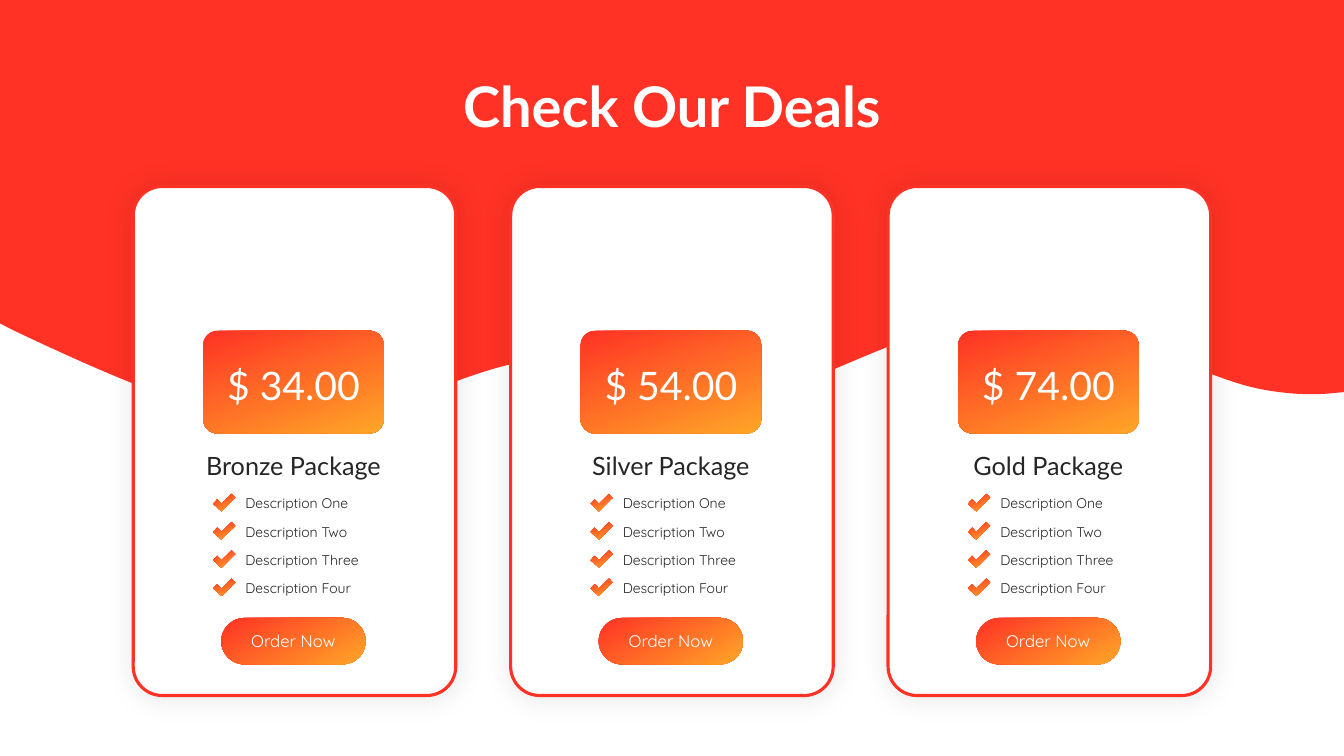
import lxml.etree
import pptx
import pptx.dml.color
import pptx.enum.shapes
import pptx.enum.text
import pptx.oxml.ns
import pptx.util

# Colours, fonts and type sizes
THEME = {
    "red": "FF3225", "gold": "FFA627", "white": "FFFFFF",
    "dark": "262626", "black": "000000",
    "head": "Lato", "body": "Quicksand",
    "title": 40, "price": 28, "name": 18, "button": 12, "item": 10,
}
DEALS = [("$ 34.00", "Bronze Package"), ("$ 54.00", "Silver Package"),
         ("$ 74.00", "Gold Package")]
ITEMS = ["Description One", "Description Two",
         "Description Three", "Description Four"]
TICK = [(5.8, 12.4), (0, 7), (2.8, 4), (5.8, 7.2), (13, 0), (15.6, 2.7)]
# Each curve: two control points and an end point
WAVE = [
    [(939.6, 282.2), (922.3, 282.2), (900, 277.9)],
    [(855.4, 269.3), (781.9, 223.9), (717.1, 226.1)],
    [(651.6, 228.2), (563.8, 287.3), (509, 292.3)],
    [(453.6, 297.4), (440.6, 255.6), (388.1, 257)],
    [(335.5, 258.5), (263.5, 308.9), (194.4, 302.4)],
    [(141.8, 297.4), (63.4, 261.4), (11.5, 236.9)],
]
PITCH, ROW = 269.6, 20.16

Pt = pptx.util.Pt
ALIGN = pptx.enum.text.PP_ALIGN
ANCHOR = pptx.enum.text.MSO_ANCHOR
FIT = pptx.enum.text.MSO_AUTO_SIZE


def bend(start, curve, steps=24):
    """Points along a cubic curve, without its start."""
    ends = [start, *curve]
    for step in range(1, steps + 1):
        t = step / steps
        parts = ((1 - t) ** 3, 3 * t * (1 - t) ** 2,
                 3 * t * t * (1 - t), t ** 3)
        yield tuple(sum(part * end[axis] for part, end in zip(parts, ends))
                    for axis in (0, 1))


class Painter:
    def __init__(self, slide, theme):
        self.slide, self.theme = slide, theme

    def tint(self, key):
        return pptx.dml.color.RGBColor.from_string(self.theme[key])

    def set(self, target, values):
        for key, value in values.items():
            setattr(target, key, value)

    def paint(self, shape, fill, angle=None):
        """Plain fill, or a blend from fill to gold turned clockwise."""
        shape.shadow.inherit = False
        shape.line.fill.background()
        if angle is None:
            shape.fill.solid()
            shape.fill.fore_color.rgb = self.tint(fill)
            return shape
        shape.fill.gradient()
        shape.fill.gradient_angle = 360 - angle
        for stop, key, place in zip(shape.fill.gradient_stops,
                                    (fill, "gold"), (0, 1)):
            stop.color.rgb = self.tint(key)
            stop.position = place
        return shape

    def box(self, left, top, width, height, curve, fill, angle=None):
        kind = pptx.enum.shapes.MSO_SHAPE.ROUNDED_RECTANGLE
        shape = self.slide.shapes.add_shape(
            kind, Pt(left), Pt(top), Pt(width), Pt(height))
        shape.adjustments[0] = curve
        return self.paint(shape, fill, angle)

    def card(self, left, top, width, height):
        shape = self.box(left, top, width, height, 0.09, "white")
        shape.line.color.rgb = self.tint("red")
        shape.line.width = Pt(2.25)
        # Soft shadow
        qn = pptx.oxml.ns.qn
        glow = lxml.etree.SubElement(
            shape.element.spPr.find(qn("a:effectLst")), qn("a:outerShdw"),
            blurRad=str(Pt(20)), dist="0", dir="0", algn="ctr",
            rotWithShape="0")
        shade = lxml.etree.SubElement(glow, qn("a:srgbClr"),
                                      val=self.theme["black"])
        lxml.etree.SubElement(shade, qn("a:alpha"), val="10000")

    def form(self, points, fill, angle=None):
        first, *rest = [(Pt(x), Pt(y)) for x, y in points]
        maker = self.slide.shapes.build_freeform(*first)
        maker.add_line_segments(rest, close=True)
        return self.paint(maker.convert_to_shape(), fill, angle)

    def text(self, words, left, top, width, height, size, face, tint,
             frame=None, para=None, font=None):
        shape = self.slide.shapes.add_textbox(
            Pt(left), Pt(top), Pt(width), Pt(height))
        block = shape.text_frame
        line = block.paragraphs[0]
        line.text = words
        self.set(block, {"word_wrap": True, "auto_size": FIT.SHAPE_TO_FIT_TEXT,
                         **(frame or {})})
        self.set(line, {"alignment": ALIGN.CENTER, **(para or {})})
        run = line.runs[0].font
        self.set(run, {"name": self.theme[face], "size": Pt(self.theme[size]),
                       **(font or {})})
        run.color.rgb = self.tint(tint)


def main():
    deck = pptx.Presentation()
    deck.slide_width, deck.slide_height = Pt(960), Pt(540)
    pen = Painter(deck.slides.add_slide(deck.slide_layouts[6]), THEME)

    # Red wave
    edge = [(0, 0), (960, 0), (960, 280.1), (952.6, 280.8)]
    for curve in WAVE:
        edge.extend(bend(edge[-1], curve))
    pen.form([*edge, (0, 231.1)], "red")

    # Deal cards
    for spot, (price, name) in enumerate(DEALS):
        mid = 480 + (spot - 1) * PITCH
        pen.card(mid - 115.2, 133.2, 230.4, 363.6)
        mid -= 0.8
        pen.text(name, mid - 88.2, 318.2, 176.4, 28.8, "name", "head", "dark")

        # Order button
        pen.box(mid - 51.5, 441.4, 103, 33.1, 0.5, "red", 60)
        pen.text("Order Now", mid - 47.9, 447.1, 95.8, 21.6,
                 "button", "body", "white")

        # Price
        pen.box(mid - 64.5, 236.2, 129, 73.4, 0.14, "red", 70)
        pen.text(price, mid - 64.5, 254.2, 129, 41, "price", "head", "white")

        # Ticked list
        for row, item in enumerate(ITEMS):
            down = row * ROW
            pen.form([(mid - 57.2 + x, 352.8 + down + y) for x, y in TICK],
                     "red", 70)
            pen.text(item, mid - 41.4, 349.9 + down, 100, 19.4,
                     "item", "body", "dark", para={"alignment": ALIGN.LEFT})

    # Title
    pen.text("Check Our Deals", 198, 25.9, 564, 104.4, "title", "head",
             "white", frame={"auto_size": FIT.NONE,
                             "vertical_anchor": ANCHOR.MIDDLE},
             para={"line_spacing": 0.9}, font={"bold": True})
    deck.save("out.pptx")


if __name__ == "__main__":
    main()
